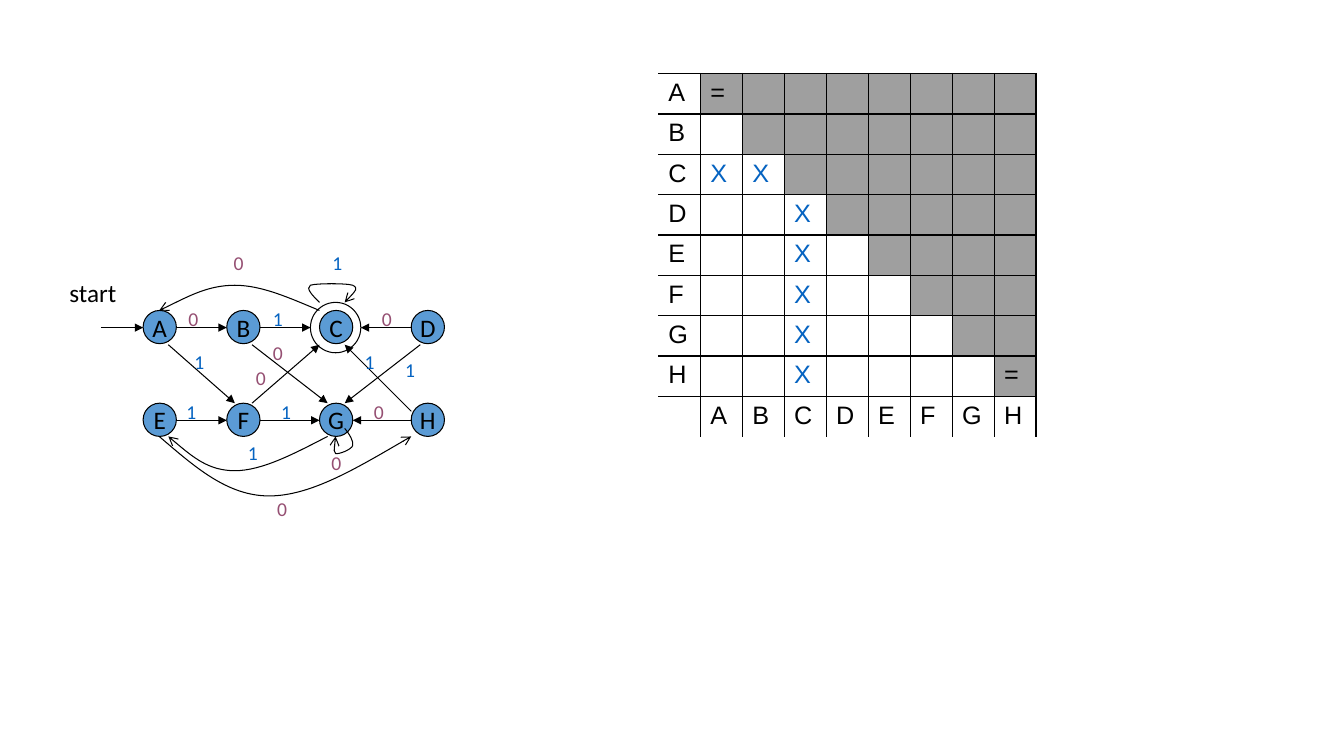
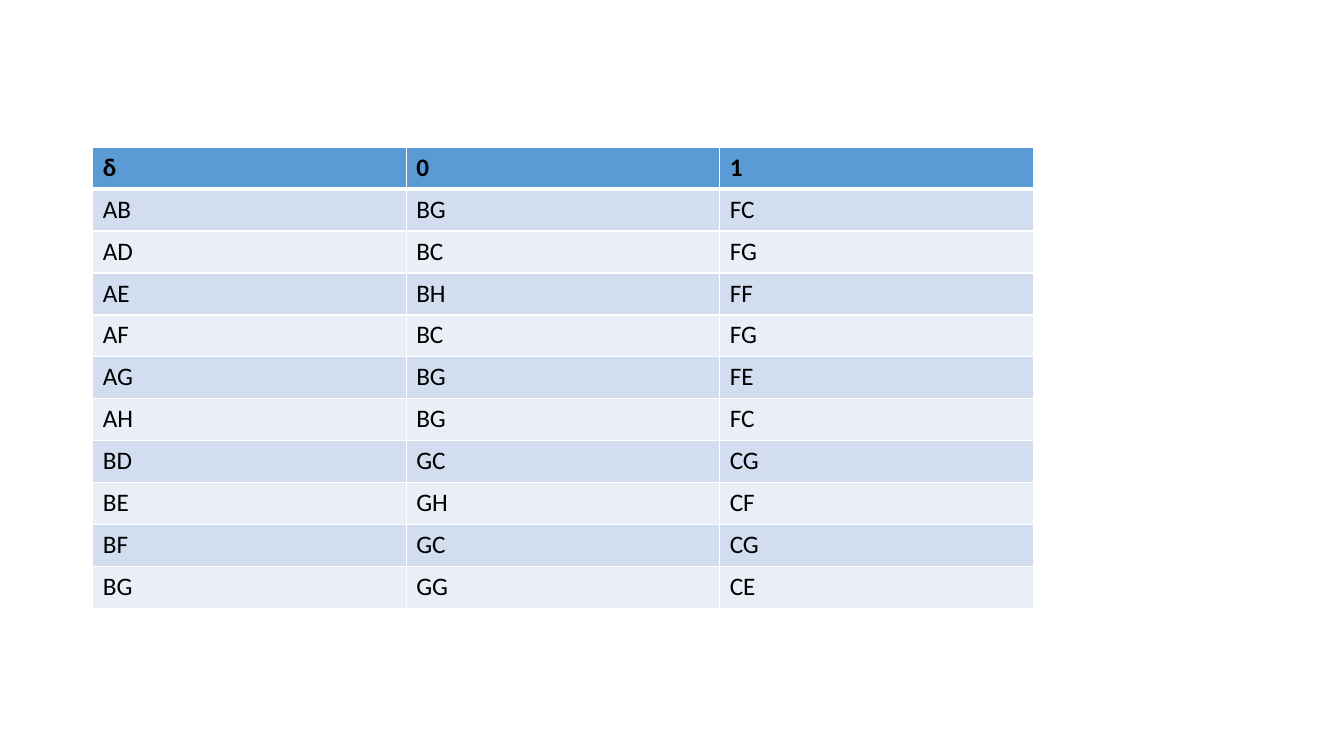
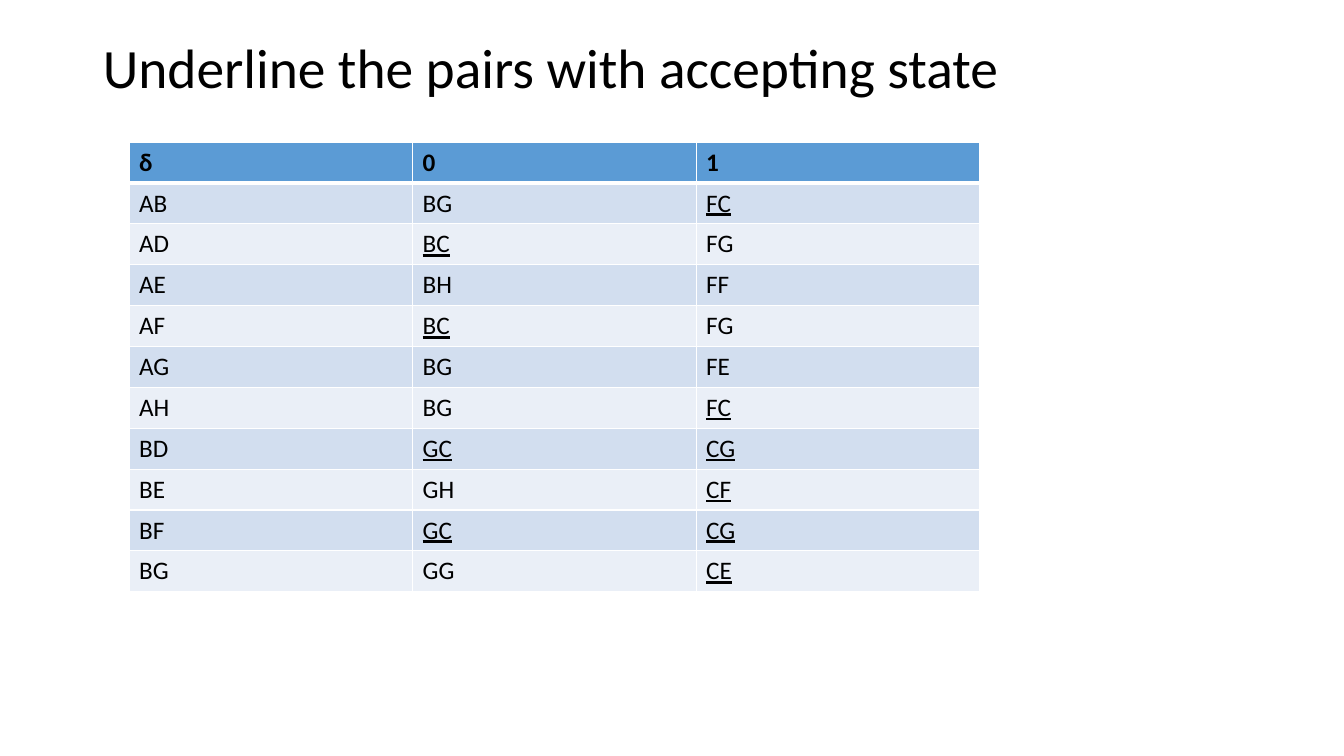
from dataclasses import dataclass
from pptx import Presentation, util as u
from pptx.dml.color import RGBColor
from pptx.enum import shapes as kind, text as txt
from pptx.oxml import parse_xml
from pptx.oxml.ns import nsdecls, qn


@dataclass(frozen=True)
class Theme:
    font: str = "Calibri"
    plain: str = "Arial"
    ink: str = "000000"
    white: str = "FFFFFF"
    blue: str = "5B9BD5"
    bands: tuple = ("EAEFF7", "D2DEEF")
    gray: str = "9F9F9F"
    one: str = "0563C1"
    zero: str = "954F72"
    title: float = 39.6
    body: int = 18
    small: int = 14
    line: float = 0.75


T = Theme()
STATES = "ABCDEFGH"

# State circles: four columns, two rows
SIZE = 0.33
COLS = (1.42, 2.25, 3.17, 4.08)
ROWS = (3.08, 4)

# Straight moves: x1, y1, x2, y2
MOVES = [
    (1, 3.25, 1.42, 3.25), (1.75, 3.25, 2.25, 3.25),
    (2.58, 3.25, 3.08, 3.25), (4.08, 3.25, 3.58, 3.25),
    (1.75, 4.17, 2.25, 4.17), (2.58, 4.17, 3.17, 4.17),
    (4.08, 4.17, 3.5, 4.17), (1.67, 3.42, 2.33, 4),
    (2.5, 4, 3.17, 3.42), (2.5, 3.42, 3.25, 4),
    (4.17, 3.42, 3.42, 4), (4.08, 4.08, 3.42, 3.42),
]

# Curved moves: a start, then three points for each cubic piece
CURVES = [
    [(3.25, 4.33), (2.92, 4.5), (2.6, 4.67), (2.33, 4.67),
     (2.07, 4.67), (1.87, 4.5), (1.67, 4.33)],
    [(1.58, 4.33), (1.92, 4.62), (2.25, 4.92), (2.67, 4.92),
     (3.08, 4.92), (3.58, 4.62), (4.08, 4.33)],
    [(3.42, 4.25), (3.47, 4.31), (3.51, 4.38), (3.5, 4.42),
     (3.49, 4.46), (3.36, 4.51), (3.33, 4.5),
     (3.31, 4.49), (3.32, 4.41), (3.33, 4.33)],
    [(3.17, 3), (3.1, 2.93), (3.03, 2.86), (3.08, 2.83),
     (3.14, 2.81), (3.44, 2.81), (3.5, 2.83),
     (3.56, 2.86), (3.49, 2.93), (3.42, 3)],
    [(3.17, 3.08), (2.88, 2.96), (2.6, 2.83), (2.33, 2.83),
     (2.07, 2.83), (1.83, 2.96), (1.58, 3.08)],
]

# Places of the input labels
ZEROS = [(1.77, 3), (3.61, 3.92), (3.19, 4.42), (3.69, 3), (2.61, 3.33),
         (2.44, 3.58), (2.65, 4.88), (2.22, 2.44)]
ONES = [(1.83, 3.42), (1.75, 3.92), (2.36, 4.33), (2.69, 3.92), (3.92, 3.5),
        (3.52, 3.42), (2.61, 3), (3.2, 2.44)]

PAIRS = [row.split() for row in (
    "δ 0 1", "AB BG FC", "AD BC FG", "AE BH FF", "AF BC FG", "AG BG FE",
    "AH BG FC", "BD GC CG", "BE GH CF", "BF GC CG", "BG GG CE")]


def rgb(color):
    return RGBColor.from_string(color)


def write(frame, words, size=T.body, color=T.ink, font=T.font, bold=False,
          under=False, align=txt.PP_ALIGN.LEFT, space=None):
    para = frame.paragraphs[0]
    para.alignment = align
    if space:
        para.line_spacing = space
    run = para.add_run()
    run.text = words
    face = run.font
    face.size, face.name = u.Pt(size), font
    face.bold, face.underline = bold, under
    face.color.rgb = rgb(color)


def stroke(shape, tip=None):
    """Thin line, no shadow, and an arrowhead if wanted."""
    shape.line.color.rgb = rgb(T.ink)
    shape.line.width = u.Pt(T.line)
    props = shape.element.spPr
    if tip:
        props.find(qn("a:ln")).append(
            parse_xml(f'<a:tailEnd {nsdecls("a")} type="{tip}"/>'))
    props.append(parse_xml(f'<a:effectLst {nsdecls("a")}/>'))


def circle(slide, x, y, size, fill=None, words=""):
    shape = slide.shapes.add_shape(kind.MSO_SHAPE.OVAL, u.Inches(x),
                                   u.Inches(y), u.Inches(size), u.Inches(size))
    if fill:
        shape.fill.solid()
        shape.fill.fore_color.rgb = rgb(fill)
    else:
        shape.fill.background()
    stroke(shape)
    if words:
        frame = shape.text_frame
        frame.word_wrap = False
        frame.vertical_anchor = txt.MSO_ANCHOR.MIDDLE
        write(frame, words, align=txt.PP_ALIGN.CENTER)


def arrow(slide, *ends):
    line = slide.shapes.add_connector(kind.MSO_CONNECTOR.STRAIGHT,
                                      *map(u.Inches, ends))
    stroke(line, "triangle")


def curve(slide, points):
    """Freeform whose points are joined, three by three, into cubics."""
    first, *rest = [tuple(map(u.Inches, point)) for point in points]
    pen = slide.shapes.build_freeform(*first)
    pen.add_line_segments(rest, close=False)
    shape = pen.convert_to_shape()
    parts = list(shape.element.spPr.iter(qn("a:lnTo")))
    for i in range(0, len(parts), 3):
        cubic = parse_xml(f'<a:cubicBezTo {nsdecls("a")}/>')
        parts[i].addprevious(cubic)
        for part in parts[i:i + 3]:
            cubic.append(part[0])
            part.getparent().remove(part)
    shape.fill.background()
    stroke(shape, "arrow")


def label(slide, words, x, y, wide=0.31, high=0.33, wrap=False, **style):
    box = slide.shapes.add_textbox(*map(u.Inches, (x, y, wide, high)))
    frame = box.text_frame
    frame.word_wrap = wrap
    frame.auto_size = txt.MSO_AUTO_SIZE.SHAPE_TO_FIT_TEXT
    write(frame, words, **style)


def edge(cell, color, **widths):
    """Borders by side L, R, T, B in points; 0 means none."""
    props = cell._tc.get_or_add_tcPr()
    for i, side in enumerate("LRTB"):
        width = widths.get(side, 1)
        paint = (f'<a:solidFill><a:srgbClr val="{color}"/></a:solidFill>'
                 if width else "<a:noFill/>")
        props.insert(i, parse_xml(f'<a:ln{side} {nsdecls("a")} '
                                  f'w="{u.Pt(width)}">{paint}</a:ln{side}>'))


def grid(slide, rows, x, y, wide, high, look):
    """Table; look(row, col, words) gives fill, text style and borders."""
    count = len(rows[0])
    table = slide.shapes.add_table(
        len(rows), count, *map(u.Inches, (x, y, wide, high))).table
    table.first_row = table.horz_banding = False
    for col in table.columns:
        col.width = u.Inches(wide / count)
    for i, row in enumerate(rows):
        table.rows[i].height = u.Inches(high / len(rows))
        for j, words in enumerate(row):
            cell = table.cell(i, j)
            fill, style, border = look(i, j, words)
            if fill:
                cell.fill.solid()
                cell.fill.fore_color.rgb = rgb(fill)
            else:
                cell.fill.background()
            edge(cell, **border)
            if words:
                write(cell.text_frame, words, **style)
            else:
                cell.text_frame.paragraphs[0].font.size = u.Pt(T.body)


def mark(i, j):
    """Entry of the matrix for the states numbered i and j."""
    if i == j and i in (0, len(STATES) - 1):
        return "="
    return "X" if j < i and "C" in (STATES[i], STATES[j]) else ""


def matrix(slide):
    count = len(STATES)
    rows = [[name] + [mark(i, j) for j in range(count)]
            for i, name in enumerate(STATES)] + [["", *STATES]]

    def look(i, j, words):
        fill = T.gray if i < count and j > i else None
        style = dict(font=T.plain, color=T.one if words == "X" else T.ink)
        return fill, style, dict(color=T.ink, L=int(j > 0), B=int(i < count))

    grid(slide, rows, 6.53, 0.73, 3.75, 3.6, look)


def pairs(slide, x, y, wide, high, under=False):
    def look(i, j, words):
        fill = T.bands[i % 2] if i else T.blue
        style = dict(bold=i == 0, under=under and "C" in words)
        return fill, style, dict(color=T.white, T=3 if i == 1 else 1,
                                 B=1 if i else 3)

    grid(slide, PAIRS, x, y, wide, high, look)


def graph(slide):
    for i, name in enumerate(STATES):
        circle(slide, COLS[i % 4], ROWS[i // 4], SIZE, T.blue, name)
    circle(slide, 3.08, 3, 0.5)
    for ends in MOVES:
        arrow(slide, *ends)
    for points in CURVES:
        curve(slide, points)
    for words, color, spots in (("0", T.zero, ZEROS), ("1", T.one, ONES)):
        for x, y in spots:
            label(slide, words, x, y, size=T.small, color=color)
    label(slide, "start", 0.59, 2.7, 0.74, 0.4, wrap=True)


def head(slide, words):
    title = slide.shapes.title
    title.left, title.top, title.width, title.height = map(
        u.Inches, (0.92, 0.4, 11.5, 0.59))
    frame = title.text_frame
    frame.word_wrap = True
    frame.vertical_anchor = txt.MSO_ANCHOR.MIDDLE
    write(frame, words, size=T.title, space=0.9)


def main():
    deck = Presentation()
    deck.slide_width, deck.slide_height = u.Inches(40 / 3), u.Inches(7.5)
    titled, blank = deck.slide_layouts[5], deck.slide_layouts[6]

    # Automaton and its matrix
    slide = deck.slides.add_slide(blank)
    graph(slide)
    matrix(slide)

    # Moves of the state pairs
    pairs(deck.slides.add_slide(blank), 0.92, 1.46, 9.33, 4.58)

    # The same pairs, accepting ones underlined
    slide = deck.slides.add_slide(titled)
    head(slide, "Underline the pairs with accepting state")
    pairs(slide, 1.28, 1.41, 8.44, 4.4, under=True)

    deck.save("out.pptx")


if __name__ == "__main__":
    main()
